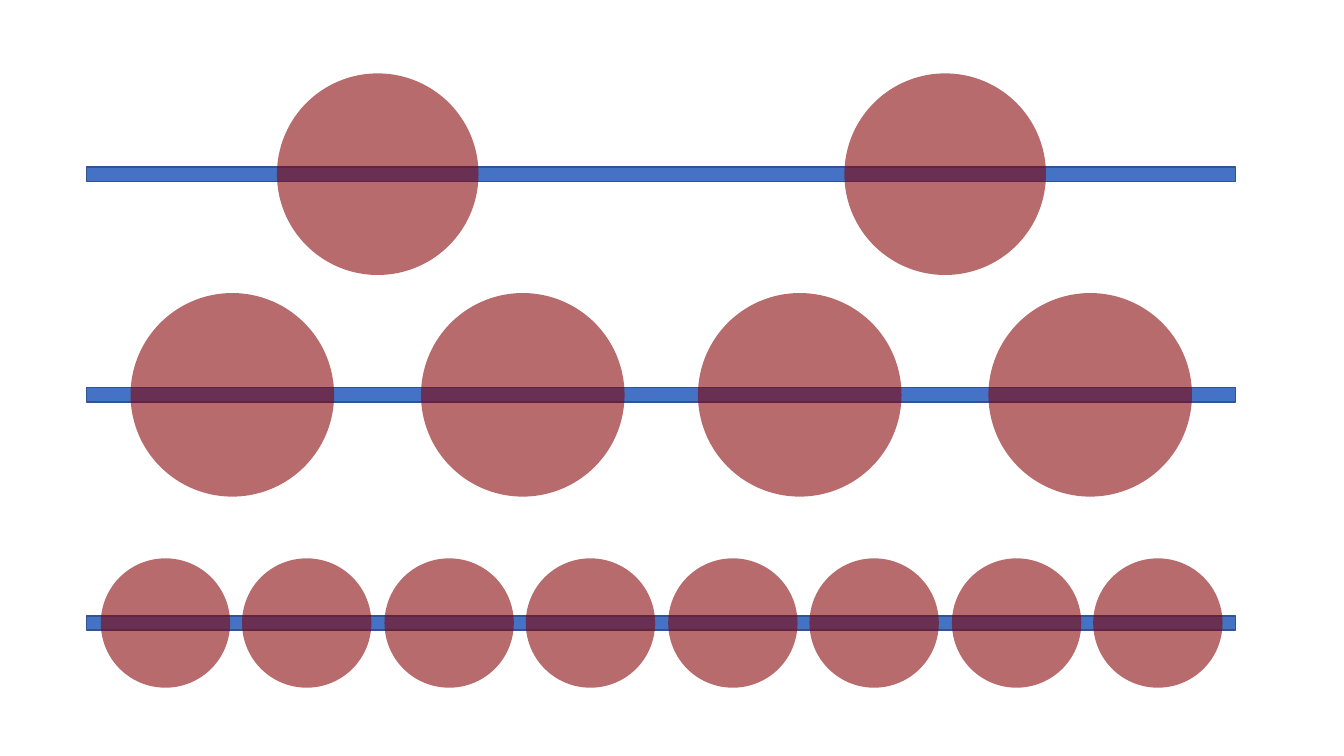
import pptx
import pptx.util
import pptx.dml.color
import pptx.enum.shapes
import pptx.oxml.ns
import lxml.etree

Cm = pptx.util.Cm
KIND = pptx.enum.shapes.MSO_SHAPE
HUES = {"bar": "4472C4", "edge": "325491", "disc": "840102"}


def draw(kind, left, mid, wide, high, fill, edge=None, alpha=None):
    """Add a shape centred on the height mid, all lengths in cm."""
    shape = slide.shapes.add_shape(
        kind, Cm(left), Cm(mid - high / 2), Cm(wide), Cm(high))
    shape.shadow.inherit = False
    shape.fill.solid()
    shape.fill.fore_color.rgb = pptx.dml.color.RGBColor.from_string(HUES[fill])
    if edge:
        shape.line.color.rgb = pptx.dml.color.RGBColor.from_string(HUES[edge])
        shape.line.width = pptx.util.Pt(1)
    else:
        shape.line.fill.background()
    if alpha:
        tag = pptx.oxml.ns.qn("a:srgbClr")
        tint = shape.fill._xPr.find(".//" + tag)
        node = lxml.etree.SubElement(tint, pptx.oxml.ns.qn("a:alpha"))
        node.set("val", str(alpha * 1000))


# Blank slide
deck = pptx.Presentation()
deck.slide_width, deck.slide_height = Cm(33.87), Cm(19.05)
slide = deck.slides.add_slide(deck.slide_layouts[6])

# Rows: centre height, disc size, first disc, shifts that each double the discs
rows = [
    (4.39, 5.08, 6.98, [14.3]),
    (9.95, 5.13, 3.29, [14.3, 7.32]),
    (15.7, 3.26, 2.54, [14.3, 7.15, 3.56]),
]
for mid, size, first, shifts in rows:
    # Bar
    draw(KIND.RECTANGLE, 2.18, mid, 28.96, 0.36, "bar", edge="edge")

    # Discs
    lefts = [first]
    for shift in shifts:
        lefts += [left + shift for left in lefts]
    for left in lefts:
        draw(KIND.OVAL, left, mid, size, size, "disc", alpha=58)

deck.save("out.pptx")
